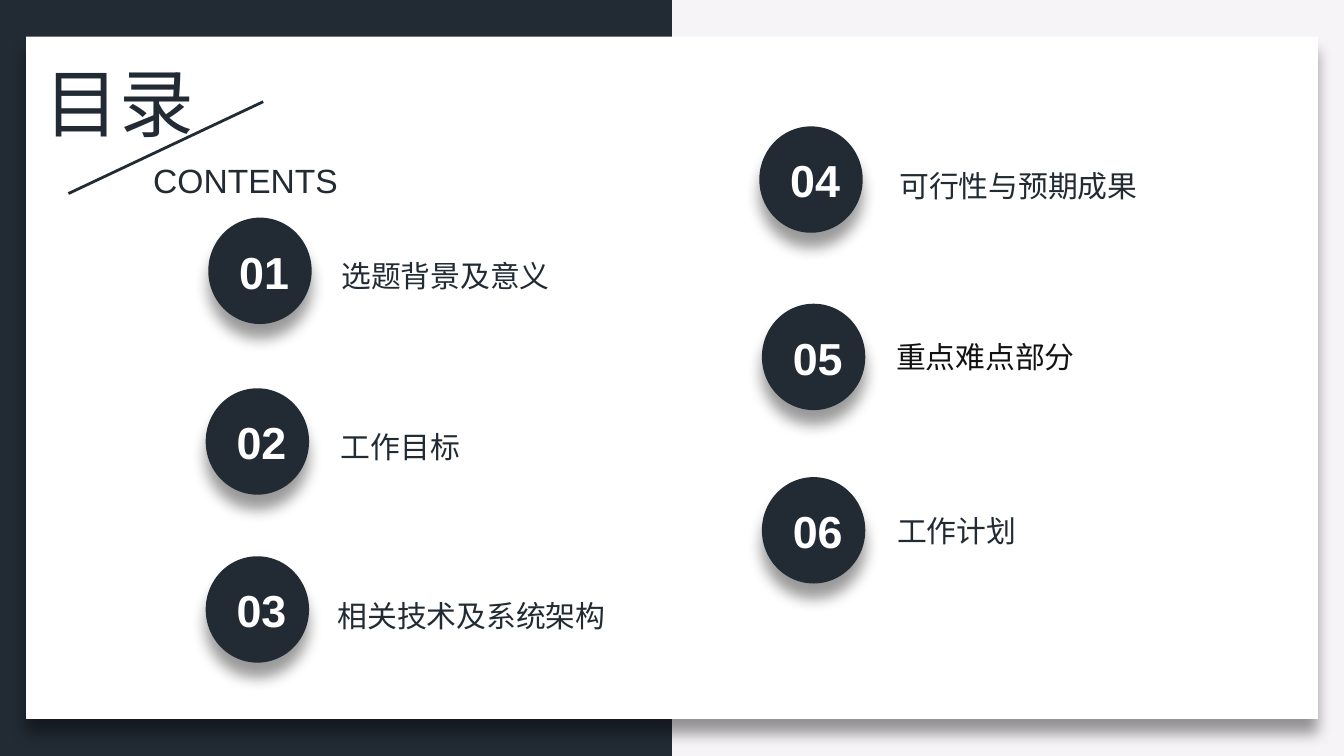
from lxml import etree
from pptx import Presentation
from pptx.dml.color import RGBColor
from pptx.enum import shapes, text
from pptx.oxml.ns import qn
from pptx.util import Pt

NAVY, WHITE, PALE, BLACK = "222B34", "FFFFFF", "F6F4F7", "121212"
LATIN, HEADING, CHINESE = "Arial", "Calibri", "Noto Sans CJK SC"
LEFT, CENTER = text.PP_ALIGN.LEFT, text.PP_ALIGN.CENTER
DISC_WIDTH, DISC_HEIGHT = 55.4, 57

# disc left and top; label, its left, top and width
ENTRIES = [
    (111.6, 116.6, "选题背景及意义", 175, 134.6, 127.4),
    (110.2, 208, "工作目标", 175, 226, 79.2),
    (110.2, 298, "相关技术及系统架构", 172.8, 316.8, 159.8),
    (406.8, 67.7, "可行性与预期成果", 455, 86.4, 181.4),
    (408.2, 162.7, "重点难点部分", 473, 177.8, 128.2),
    (408.2, 255.6, "工作计划", 473, 271.4, 79.2),
]


def rgb(value):
    return RGBColor.from_string(value)


class ContentsPage:
    """Holds the slide and the style its elements share."""

    def __init__(self, deck):
        self.slide = deck.slides.add_slide(deck.slide_layouts[5])
        fill = self.slide.background.fill
        fill.solid()
        fill.fore_color.rgb = rgb(PALE)

    def shape(self, kind, left, top, width, height, color, shadow=True):
        shape = self.slide.shapes.add_shape(
            kind, Pt(left), Pt(top), Pt(width), Pt(height))
        shape.fill.solid()
        shape.fill.fore_color.rgb = rgb(color)
        shape.line.fill.background()
        shape.shadow.inherit = False
        if shadow:
            self.drop_shadow(shape)
        return shape

    def drop_shadow(self, shape):
        effects = shape.element.spPr.find(qn("a:effectLst"))
        outer = etree.SubElement(
            effects, qn("a:outerShdw"), blurRad=str(Pt(8)), dist=str(Pt(8)),
            dir="5400000", algn="t", rotWithShape="0")
        tint = etree.SubElement(outer, qn("a:srgbClr"), val="000000")
        etree.SubElement(tint, qn("a:alpha"), val="40000")

    def panel(self, *place, color, shadow):
        """Draws a backdrop rectangle behind the title."""
        panel = self.shape(shapes.MSO_SHAPE.RECTANGLE, *place, color, shadow)
        self.slide.shapes.title.element.addprevious(panel.element)

    def line(self, x1, y1, x2, y2):
        line = self.slide.shapes.add_connector(
            shapes.MSO_CONNECTOR.STRAIGHT, Pt(x1), Pt(y1), Pt(x2), Pt(y2))
        line.line.color.rgb = rgb(NAVY)
        line.line.width = Pt(1.5)
        etree.SubElement(line.element.spPr, qn("a:effectLst"))

    def set_text(self, box, words, place, size, font, color=NAVY,
                 align=LEFT, bold=False, wrap=False):
        box.left, box.top, box.width, box.height = map(Pt, place)
        frame = box.text_frame
        frame.text = words
        frame.word_wrap = wrap
        frame.auto_size = text.MSO_AUTO_SIZE.SHAPE_TO_FIT_TEXT
        frame.vertical_anchor = text.MSO_ANCHOR.TOP
        para = frame.paragraphs[0]
        para.alignment = align
        para.font.name = font
        para.font.size = Pt(size)
        para.font.bold = bold
        para.font.color.rgb = rgb(color)

    def title(self, words, *place):
        self.set_text(self.slide.shapes.title, words, place, 40, HEADING)

    def text(self, words, *place, **style):
        box = self.slide.shapes.add_textbox(0, 0, 0, 0)
        self.set_text(box, words, place, **style)

    def entry(self, number, left, top, label, label_left, label_top, width):
        self.shape(shapes.MSO_SHAPE.OVAL, left, top,
                   DISC_WIDTH, DISC_HEIGHT, NAVY)
        style = dict(font=CHINESE, align=CENTER)
        if number == 5:
            style = dict(font=HEADING, color=BLACK)
        self.text(label, label_left, label_top, width, 26.6,
                  size=16, wrap=number in (4, 5), **style)
        self.text(f"{number:02}", left, top + 10.8, 59.8, 36, size=24,
                  font=LATIN, color=WHITE, align=CENTER, bold=True, wrap=True)


def main():
    deck = Presentation()
    deck.slide_width, deck.slide_height = Pt(720), Pt(405)
    page = ContentsPage(deck)
    page.panel(0, 0, 360, 405, color=NAVY, shadow=False)
    page.panel(14, 19.6, 692, 365.6, color=WHITE, shadow=True)
    page.title("目录", 16.6, 26.6, 95, 55.4)
    page.line(141, 54.5, 36.7, 103.7)
    page.text("CONTENTS", 75, 82, 114.5, 29, size=18, font=LATIN)
    for number, entry in enumerate(ENTRIES, 1):
        page.entry(number, *entry)
    deck.save("out.pptx")


if __name__ == "__main__":
    main()
